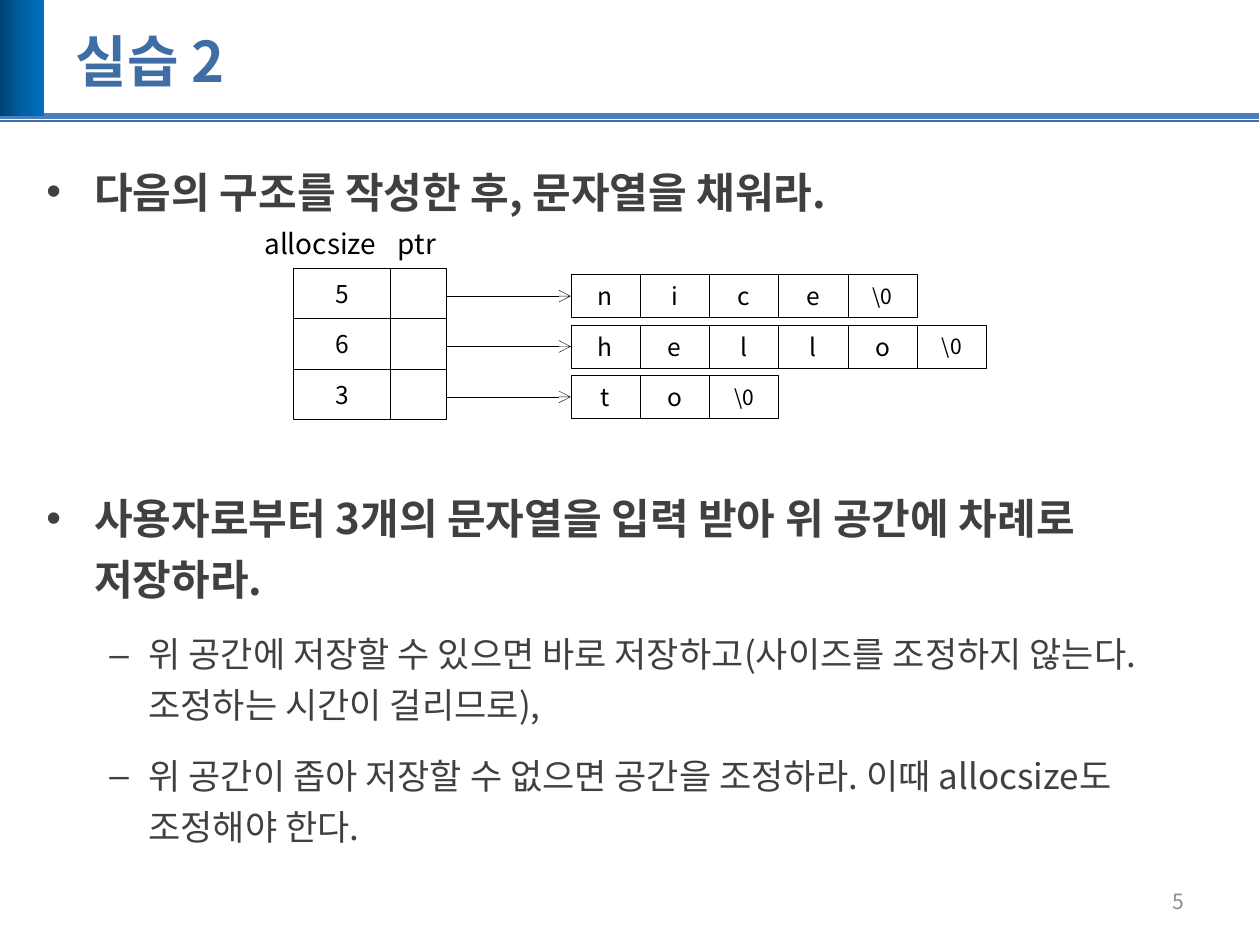
from copy import deepcopy

from lxml.etree import SubElement
from pptx import Presentation
from pptx.dml.color import RGBColor
from pptx.enum.shapes import MSO_CONNECTOR, MSO_SHAPE
from pptx.enum.text import MSO_ANCHOR, PP_ALIGN
from pptx.oxml.ns import qn
from pptx.util import Inches, Pt

FONT = "Noto Sans CJK KR"
COLORS = {
    "title": "3F6EA7", "rule": "4B7EBC", "body": "404040", "number": "8C8C8C",
    "ink": "000000", "paper": "FFFFFF",
    "band_dark": "004272", "band_middle": "005EA2", "band_light": "0070C0",
}
ROWS = [("5", ["n", "i", "c", "e", "\\0"]),
        ("6", ["h", "e", "l", "l", "o", "\\0"]),
        ("3", ["t", "o", "\\0"])]
# Bullet level, space before in points, text
BULLETS = [
    (0, 6, "다음의 구조를 작성한 후, 문자열을 채워라."),
    (0, 146, "사용자로부터 3개의 문자열을 입력 받아 위 공간에 차례로 저장하라."),
    (1, 6, "위 공간에 저장할 수 있으면 바로 저장하고(사이즈를 조정하지 않는다. "
           "조정하는 시간이 걸리므로),"),
    (1, 6, "위 공간이 좁아 저장할 수 없으면 공간을 조정하라. "
           "이때 allocsize도 조정해야 한다."),
]
# Left margin, hanging indent, mark, size, bold
LEVELS = [(0.38, 0.38, "•", 24, True), (0.81, 0.31, "–", 20, False)]


def color(name):
    """Return the named colour."""
    return RGBColor.from_string(COLORS[name])


def add_span(para, text, size, ink="ink", bold=False):
    """Add one formatted run to a paragraph."""
    span = para.add_run()
    span.text = text
    span.font.size = Pt(size)
    span.font.bold = bold
    span.font.name = FONT
    span.font.color.rgb = color(ink)


def add_line(shapes, x1, y1, x2, y2, ink, width, arrow=False):
    """Draw a straight line, with an open arrowhead at its end if asked."""
    line = shapes.add_connector(MSO_CONNECTOR.STRAIGHT, Inches(x1), Inches(y1),
                                Inches(x2), Inches(y2))
    line.line.color.rgb = color(ink)
    line.line.width = Pt(width)
    if arrow:
        SubElement(line.line._get_or_add_ln(), qn("a:tailEnd"), type="arrow")
    SubElement(line._element.spPr, qn("a:effectLst"))


def add_text_box(shapes, left, top, width, height, wrap=True):
    """Add an empty text box and return it."""
    box = shapes.add_textbox(Inches(left), Inches(top), Inches(width), Inches(height))
    box.text_frame.word_wrap = wrap
    return box


def add_cell(shapes, left, top, width, height, text=""):
    """Draw one outlined memory cell with centred text."""
    cell = shapes.add_shape(MSO_SHAPE.RECTANGLE, Inches(left), Inches(top),
                            Inches(width), Inches(height))
    cell.shadow.inherit = False
    cell.fill.solid()
    cell.fill.fore_color.rgb = color("paper")
    cell.line.color.rgb = color("ink")
    cell.line.width = Pt(0.25)
    frame = cell.text_frame
    frame.margin_left = frame.margin_right = frame.margin_top = frame.margin_bottom = 0
    frame.vertical_anchor = MSO_ANCHOR.MIDDLE
    if text:
        para = frame.paragraphs[0]
        para.alignment = PP_ALIGN.CENTER
        add_span(para, text, 12 if text == "\\0" else 14)


def add_header(page, height):
    """Draw the side band, the double rule and the title."""
    add_line(page.shapes, -0.01, height, 9.99, height, "rule", 3)
    add_line(page.shapes, -0.01, height + 0.04, 9.99, height + 0.04, "title", 1)
    band = page.shapes.add_shape(MSO_SHAPE.RECTANGLE, 0, 0, Inches(0.35), Inches(height))
    band.shadow.inherit = False
    band.line.fill.background()
    band.fill.gradient()
    band.fill.gradient_angle = 0
    stops = band.fill.gradient_stops
    stop_list = stops[0]._gs.getparent()
    stop_list.insert(1, deepcopy(stops[0]._gs))
    names = ("band_dark", "band_middle", "band_light")
    for stop, name, position in zip(band.fill.gradient_stops, names, (0, 0.5, 1)):
        stop.color.rgb = color(name)
        stop.position = position

    title = page.shapes.title
    title.left, title.top = Inches(0.5), Inches(0.21)
    title.width, title.height = Inches(9), Inches(0.54)
    title.text_frame.vertical_anchor = MSO_ANCHOR.MIDDLE
    para = title.text_frame.paragraphs[0]
    para.alignment = PP_ALIGN.LEFT
    add_span(para, "실습 2", 32, "title", True)


def add_bullets(page, left, top, width, height):
    """Write the task list, leaving room for the diagram after its first item."""
    frame = add_text_box(page.shapes, left, top, width, height).text_frame
    for index, (level, before, text) in enumerate(BULLETS):
        para = frame.add_paragraph() if index else frame.paragraphs[0]
        margin, hanging, mark, size, bold = LEVELS[level]
        para.level = level
        para.line_spacing = 1.2
        para.space_before, para.space_after = Pt(before), Pt(6)
        settings = para._p.get_or_add_pPr()
        settings.set("marL", str(Inches(margin)))
        settings.set("indent", str(-Inches(hanging)))
        SubElement(settings, qn("a:buFont"), typeface="Arial")
        SubElement(settings, qn("a:buChar"), char=mark)
        add_span(para, text, size, "body", bold)


def add_diagram(page, left, top):
    """Draw the size and pointer table with the strings it points to."""
    shapes = page.shapes.add_group_shape().shapes
    size_width, pointer_width, row_height = 0.77, 0.44, 0.4
    letter_width, letter_height = 0.55, 0.34
    pointer_left = left + size_width
    arrow_left = pointer_left + pointer_width
    string_left = left + 2.2
    for row, (size, letters) in enumerate(ROWS):
        y = top + row * row_height
        add_cell(shapes, left, y, size_width, row_height, size)
        add_cell(shapes, pointer_left, y, pointer_width, row_height)
        for column, letter in enumerate(letters):
            add_cell(shapes, string_left + column * letter_width, y + 0.05,
                     letter_width, letter_height, letter)
        add_line(shapes, arrow_left, y + 0.22, string_left, y + 0.22, "ink", 0.25, True)
    for text, x, width in (("allocsize", left - 0.33, 1.32), ("ptr", left + 0.73, 0.62)):
        label = add_text_box(shapes, x, top - 0.38, width, 0.37, wrap=False)
        add_span(label.text_frame.paragraphs[0], text, 16)


def add_page_number(page, left, top, width, height):
    """Write the page number at the right of its box."""
    frame = add_text_box(page.shapes, left, top, width, height).text_frame
    frame.vertical_anchor = MSO_ANCHOR.MIDDLE
    para = frame.paragraphs[0]
    para.alignment = PP_ALIGN.RIGHT
    add_span(para, "5", 12, "number")


def main():
    """Build the slide and save the deck."""
    deck = Presentation()
    deck.slide_width, deck.slide_height = Inches(10), Inches(7.5)
    page = deck.slides.add_slide(deck.slide_layouts[5])
    add_header(page, 0.92)
    add_bullets(page, 0.27, 1.19, 9.28, 5.44)
    add_page_number(page, 7.17, 6.95, 2.33, 0.4)
    add_diagram(page, 2.33, 2.13)
    deck.save("out.pptx")


main()
